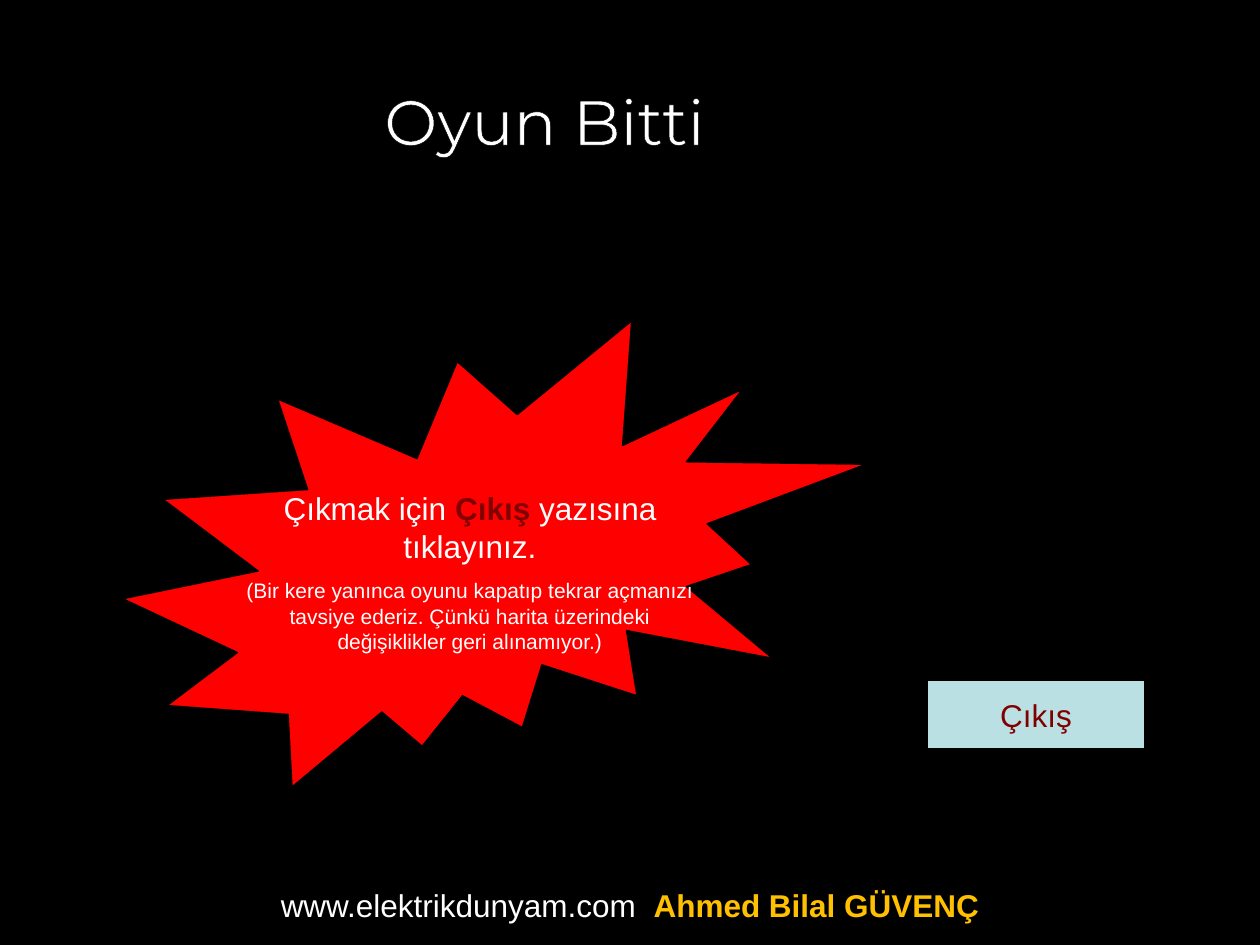
from lxml import etree
from pptx import Presentation, util as u
from pptx.dml.color import RGBColor
from pptx.enum import shapes, text
from pptx.oxml.ns import qn

PX = 914400 // 126
W, H = 1260, 945
HUES = {"black": "000000", "white": "FFFFFF", "red": "FF0000",
        "maroon": "800000", "pale": "BBE0E3", "gold": "FFC000"}

# Content: each paragraph is a list of (words, colour, bold)
TITLE = [[("Oyun Bitti", "white", False)]]
HINT = [
    [("Çıkmak için ", "white", False), ("Çıkış", "maroon", True),
     (" yazısına tıklayınız.", "white", False)],
    [("(Bir kere yanınca oyunu kapatıp tekrar açmanızı tavsiye ederiz. "
      "Çünkü harita üzerindeki değişiklikler geri alınamıyor.)", "white", False)],
]
EXIT = [[("Çıkış", "maroon", False)]]
FOOT = [[("www.elektrikdunyam.com  ", "white", False),
         ("Ahmed Bilal GÜVENÇ", "gold", True)]]

# Places: left, top, width, height in px
SPOTS = {"title": (372, 76, 466, 108), "burst": (123, 321, 743, 466),
         "hint": (222, 483, 496, 178), "exit": (927, 680, 218, 69),
         "foot": (0, 880, W, 50)}


def rgb(name):
    return RGBColor.from_string(HUES[name])


def spot(name):
    return [n * PX for n in SPOTS[name]]


def write(box, paras, sizes=(18,), font="Arial", wrap=True, gap=0,
          align=text.PP_ALIGN.CENTER, anchor=text.MSO_ANCHOR.TOP, edge=None):
    frame = box.text_frame
    frame.word_wrap = wrap
    frame.vertical_anchor = anchor
    for i, (runs, size) in enumerate(zip(paras, sizes)):
        para = frame.add_paragraph() if i else frame.paragraphs[0]
        para.alignment = align
        if i:
            para.space_before = u.Pt(gap)
        for words, hue, bold in runs:
            run = para.add_run()
            run.text = words
            run.font.name, run.font.size = font, u.Pt(size)
            run.font.bold = bold
            run.font.color.rgb = rgb(hue)
            if edge:
                line = etree.Element(qn("a:ln"), w=str(u.Pt(0.75)))
                fill = etree.SubElement(line, qn("a:solidFill"))
                etree.SubElement(fill, qn("a:srgbClr"), val=HUES[edge])
                run.font._element.insert(0, line)


def label(slide, name, paras, **form):
    write(slide.shapes.add_textbox(*spot(name)), paras, **form)


def block(slide, name, kind, hue):
    shape = slide.shapes.add_shape(kind, *spot(name))
    shape.shadow.inherit = False
    shape.fill.solid()
    shape.fill.fore_color.rgb = rgb(hue)
    shape.line.color.rgb = rgb("black")
    shape.line.width = u.Pt(0.75)
    return shape


def main():
    deck = Presentation()
    deck.slide_width, deck.slide_height = W * PX, H * PX
    slide = deck.slides.add_slide(deck.slide_layouts[6])
    slide.background.fill.solid()
    slide.background.fill.fore_color.rgb = rgb("black")

    # Heading
    label(slide, "title", TITLE, sizes=(36,), font="Montserrat", wrap=False,
          align=text.PP_ALIGN.LEFT, edge="black")

    # Burst with its hint
    block(slide, "burst", shapes.MSO_SHAPE.EXPLOSION2, "red")
    label(slide, "hint", HINT, sizes=(18, 12), gap=7.5)

    # Exit button
    button = block(slide, "exit", shapes.MSO_SHAPE.RECTANGLE, "pale")
    write(button, EXIT, wrap=False, anchor=text.MSO_ANCHOR.MIDDLE)

    # Footer
    label(slide, "foot", FOOT)
    deck.save("out.pptx")


if __name__ == "__main__":
    main()
